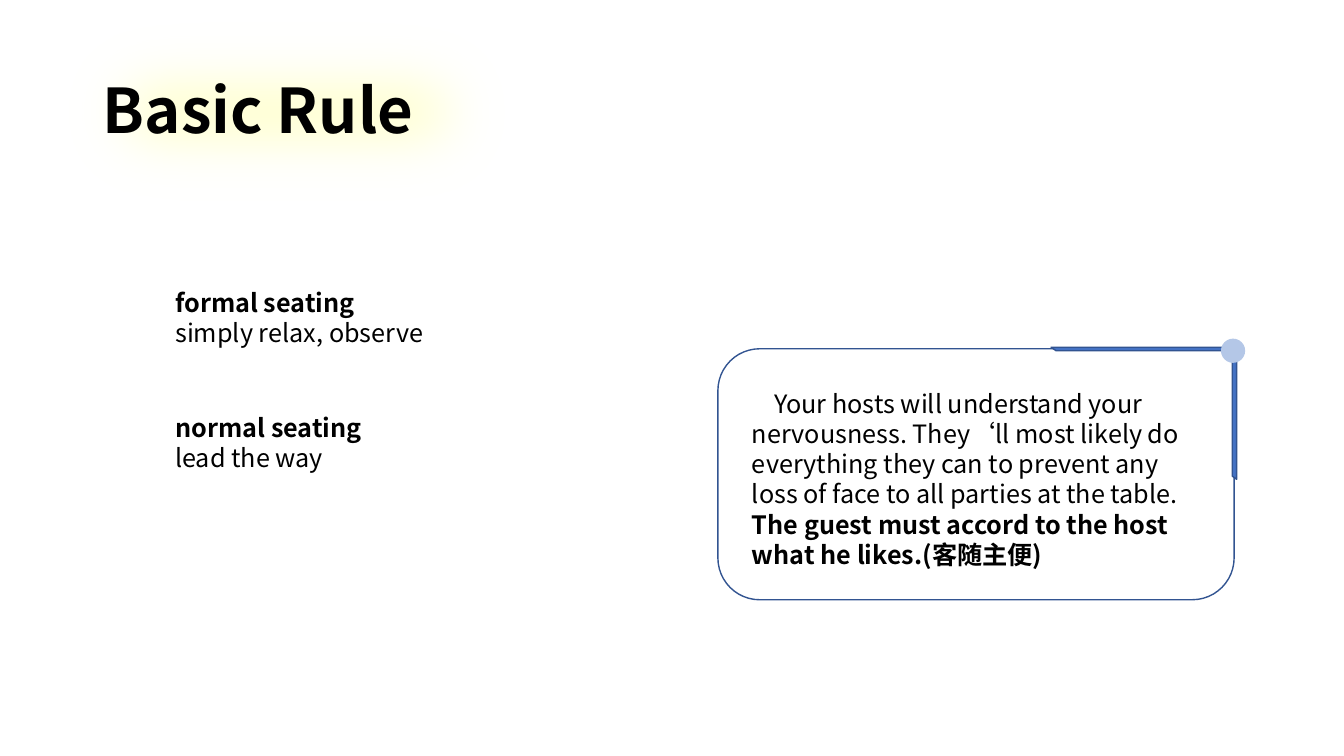
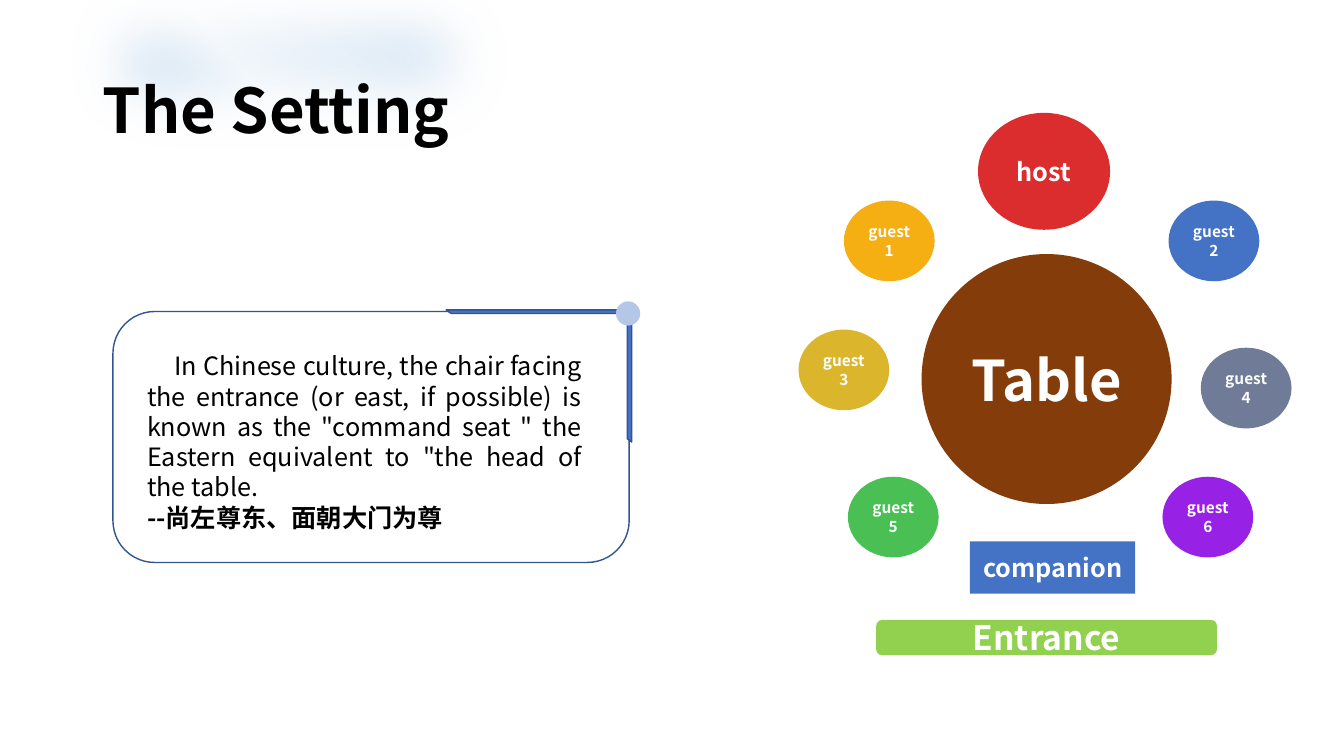
from dataclasses import dataclass
from typing import Optional

from copy import deepcopy
from lxml import etree
from pptx import Presentation
from pptx.dml.color import RGBColor
from pptx.enum.shapes import MSO_SHAPE
from pptx.enum.text import MSO_ANCHOR, MSO_AUTO_SIZE, PP_ALIGN
from pptx.oxml.ns import qn
from pptx.util import Inches, Pt

RECT = MSO_SHAPE.RECTANGLE
ROUND_RECT = MSO_SHAPE.ROUNDED_RECTANGLE
ELLIPSE = MSO_SHAPE.OVAL
HALF_FRAME = MSO_SHAPE.HALF_FRAME
MIDDLE = MSO_ANCHOR.MIDDLE
GROW = MSO_AUTO_SIZE.SHAPE_TO_FIT_TEXT
NO_FIT = MSO_AUTO_SIZE.NONE
LEFT, CENTER, JUSTIFY = PP_ALIGN.LEFT, PP_ALIGN.CENTER, PP_ALIGN.JUSTIFY

FONT = "Noto Sans CJK SC"
BLACK = RGBColor(0x00, 0x00, 0x00)
WHITE = RGBColor(0xFF, 0xFF, 0xFF)
BLUE = RGBColor(0x44, 0x72, 0xC4)
DARK_BLUE = RGBColor(0x32, 0x54, 0x91)
PALE_BLUE = RGBColor(0xB4, 0xC7, 0xE7)
CREAM = RGBColor(0xFF, 0xFF, 0xCC)
BROWN = RGBColor(0x84, 0x3C, 0x0B)
RED = RGBColor(0xDB, 0x2D, 0x2D)
AMBER = RGBColor(0xF5, 0xAF, 0x13)
GOLD = RGBColor(0xDB, 0xB6, 0x2D)
SLATE = RGBColor(0x70, 0x7B, 0x98)
GREEN = RGBColor(0x49, 0xBF, 0x54)
PURPLE = RGBColor(0x97, 0x22, 0xE6)
LIME = RGBColor(0x92, 0xD0, 0x50)
SKY_STOPS = (
    (0.24, RGBColor(0xCE, 0xE1, 0xF2)),
    (0.58, RGBColor(0xED, 0xF4, 0xFA)),
    (0.99, RGBColor(0x86, 0xB5, 0xE0)),
)
SOFT_EDGE = Pt(50)


@dataclass(frozen=True)
class Box:
    left: float
    top: float
    width: float
    height: float

    def lengths(self) -> tuple:
        return tuple(Inches(v) for v in (self.left, self.top, self.width, self.height))

    def moved(self, dx: float, dy: float) -> "Box":
        return Box(self.left + dx, self.top + dy, self.width, self.height)


@dataclass(frozen=True)
class Span:
    text: str
    bold: bool = False


@dataclass(frozen=True)
class Seat:
    text: str
    box: Box
    fill: RGBColor
    size: int = 11
    kind: MSO_SHAPE = ELLIPSE


@dataclass(frozen=True)
class Mask:
    box: Box
    rotation: float = 0


CARD = Box(0, 0, 5.12, 2.49)
CARD_TEXT = Box(0.24, 0.34, 4.51, 1.92)
CARD_MASKS = (
    Mask(Box(3.39, -0.06, 1.66, 0.12)),
    Mask(Box(4.7, 0.55, 0.84, 0.15), 90),
    Mask(Box(4.82, 0.09, 0.28, 0.09), 49.3),
)
CARD_CORNER = Box(3.57, -0.28, 1.31, 1.84)
CARD_DOT = Box(4.99, -0.1, 0.24, 0.24)
TITLE = Box(0.92, 0.4, 4.11, 1.45)


def guest(number: int, left: float, top: float, fill: RGBColor) -> Seat:
    return Seat(f"guest{number}", Box(left, top, 0.9, 0.8), fill)


SEATS = (
    Seat("Table", Box(9.14, 2.52, 2.48, 2.48), BROWN, 40),
    Seat("host", Box(9.7, 1.12, 1.31, 1.16), RED, 18),
    guest(1, 8.37, 1.99, AMBER),
    guest(2, 11.59, 1.99, BLUE),
    guest(3, 7.92, 3.27, GOLD),
    guest(4, 11.91, 3.45, SLATE),
    guest(5, 8.41, 4.73, GREEN),
    guest(6, 11.53, 4.73, PURPLE),
    Seat("companion", Box(9.62, 5.37, 1.64, 0.52), BLUE, 18, RECT),
    Seat("Entrance", Box(8.69, 6.15, 3.38, 0.35), LIME, 24, ROUND_RECT),
)

SEATING_NOTES = (
    ("formal seating", "simply relax, observe"),
    ("normal seating", "lead the way"),
)


def style_run(r, size: int, color: RGBColor, bold: bool) -> None:
    r.font.size = Pt(size)
    r.font.name = FONT
    r.font.bold = bold
    r.font.color.rgb = color
    ea = etree.Element(qn("a:ea"), typeface=FONT)
    r.font._element.find(qn("a:latin")).addnext(ea)


def add_shape(slide, kind: MSO_SHAPE, box: Box, fill: Optional[RGBColor] = None,
              line: Optional[RGBColor] = None, rotation: float = 0):
    sp = slide.shapes.add_shape(kind, *box.lengths())
    sp.shadow.inherit = False
    sp.rotation = rotation
    if fill is None:
        sp.fill.background()
    else:
        sp.fill.solid()
        sp.fill.fore_color.rgb = fill
    if line is None:
        sp.line.fill.background()
    else:
        sp.line.color.rgb = line
        sp.line.width = Pt(1)
    return sp


def add_text(slide, box: Box, paragraphs: list[list[Span]],
             align: PP_ALIGN = LEFT, indent: float = 0) -> None:
    tf = slide.shapes.add_textbox(*box.lengths()).text_frame
    tf.word_wrap = True
    tf.auto_size = GROW
    for i, spans in enumerate(paragraphs):
        p = tf.add_paragraph() if i else tf.paragraphs[0]
        p.alignment = align
        if indent and i == 0:
            p._p.get_or_add_pPr().set("indent", str(Inches(indent)))
        for span in spans:
            r = p.add_run()
            r.text = span.text
            style_run(r, 18, BLACK, span.bold)


def add_glow(slide, left: float, top: float, fill: RGBColor):
    sp = add_shape(slide, RECT, Box(left, top, 4.98, 2.27), fill, DARK_BLUE)
    effects = sp.element.spPr.find(qn("a:effectLst"))
    etree.SubElement(effects, qn("a:softEdge"), rad=str(SOFT_EDGE))
    return sp


def fill_with_sky(sp) -> None:
    sp.fill.gradient()
    sp.fill.gradient_angle = 220
    stops = sp.element.spPr.find(".//" + qn("a:gsLst"))
    stops.append(deepcopy(stops[-1]))
    for stop, (position, color) in zip(sp.fill.gradient_stops, SKY_STOPS):
        stop.position = position
        stop.color.rgb = color


def add_title(slide, text: str) -> None:
    title = slide.shapes.title
    title.left, title.top, title.width, title.height = TITLE.lengths()
    title.element.getparent().append(title.element)
    tf = title.text_frame
    tf.text = text
    tf.word_wrap = True
    tf.auto_size = NO_FIT
    tf.vertical_anchor = MIDDLE
    p = tf.paragraphs[0]
    p.alignment = LEFT
    p.line_spacing = 0.9
    style_run(p.runs[0], 44, BLACK, True)


def add_card(slide, left: float, top: float, paragraphs: list[list[Span]],
             align: PP_ALIGN, indent: float) -> None:
    add_text(slide, CARD_TEXT.moved(left, top), paragraphs, align, indent)
    add_shape(slide, ROUND_RECT, CARD.moved(left, top), line=DARK_BLUE)
    for mask in CARD_MASKS:
        add_shape(slide, RECT, mask.box.moved(left, top), WHITE, WHITE, mask.rotation)
    corner = add_shape(slide, HALF_FRAME, CARD_CORNER.moved(left, top), BLUE, DARK_BLUE, 90)
    corner.adjustments[0] = 0.033
    corner.adjustments[1] = 0.027
    add_shape(slide, ELLIPSE, CARD_DOT.moved(left, top), PALE_BLUE)


def add_seat(slide, seat: Seat) -> None:
    sp = add_shape(slide, seat.kind, seat.box, seat.fill)
    tf = sp.text_frame
    tf.text = seat.text
    tf.word_wrap = True
    tf.vertical_anchor = MIDDLE
    p = tf.paragraphs[0]
    p.alignment = CENTER
    style_run(p.runs[0], seat.size, WHITE, True)


def build_basic_rule(prs) -> None:
    s = prs.slides.add_slide(prs.slide_layouts[5])
    add_glow(s, 0.35, -0.03, CREAM)
    add_title(s, "Basic Rule")
    for i, (heading, advice) in enumerate(SEATING_NOTES):
        box = Box(1.64, 2.8 + 1.24 * i, 4.75, 0.71)
        add_text(s, box, [[Span(heading, True)], [Span(advice)]])
    add_card(s, 7.12, 3.46, [[
        Span("Your hosts will understand your nervousness. They‘ll most likely do "
             "everything they can to prevent any loss of face to all parties at "
             "the table. "),
        Span("The guest must accord to the host what he likes.(客随主便)", True),
    ]], LEFT, 0.22)


def build_setting(prs) -> None:
    s = prs.slides.add_slide(prs.slide_layouts[5])
    fill_with_sky(add_glow(s, 0.37, -0.54, PALE_BLUE))
    add_title(s, "The Setting")
    for seat in SEATS:
        add_seat(s, seat)
    add_card(s, 1.12, 3.09, [
        [Span("In Chinese culture, the chair facing the entrance (or east, if "
              "possible) is known as the \"command seat \" the Eastern equivalent "
              "to \"the head of the table.")],
        [Span("--尚左尊东、面朝大门为尊", True)],
    ], JUSTIFY, 0.27)


def main() -> None:
    prs = Presentation()
    prs.slide_width, prs.slide_height = Inches(13.33), Inches(7.5)
    build_basic_rule(prs)
    build_setting(prs)
    prs.save("out.pptx")


if __name__ == "__main__":
    main()
